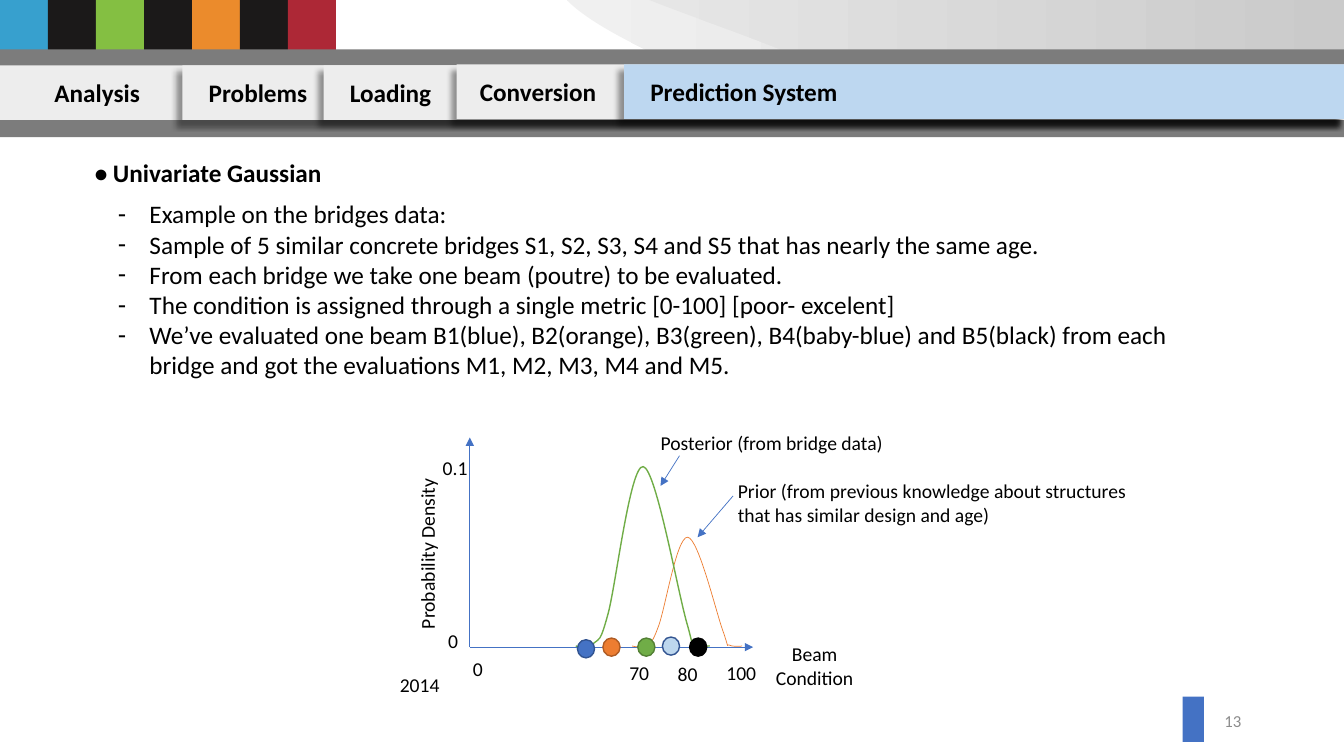
from dataclasses import dataclass

from lxml import etree
from pptx import Presentation
from pptx.dml.color import RGBColor
from pptx.enum.shapes import MSO_CONNECTOR, MSO_SHAPE
from pptx.enum.text import MSO_ANCHOR, MSO_AUTO_SIZE, PP_ALIGN
from pptx.oxml.ns import qn
from pptx.util import Inches, Pt

WIDTH, HEIGHT = 13.33, 7.5
FONT = "Calibri"
BLACK = RGBColor(0x00, 0x00, 0x00)
CHARCOAL = RGBColor(0x1B, 0x19, 0x19)
STRIP_GREY = RGBColor(0x7C, 0x7C, 0x7C)
TAB_GREY = RGBColor(0xED, 0xED, 0xED)
NUMBER_GREY = RGBColor(0x8C, 0x8C, 0x8C)
ACTIVE_BLUE = RGBColor(0xBD, 0xD7, 0xF0)
SKY = RGBColor(0x37, 0xA0, 0xCE)
LIME = RGBColor(0x84, 0xBF, 0x42)
AMBER = RGBColor(0xEB, 0x8B, 0x2C)
CRIMSON = RGBColor(0xAD, 0x28, 0x36)
BLUE = RGBColor(0x44, 0x72, 0xC4)
DARK_BLUE = RGBColor(0x32, 0x54, 0x91)
ORANGE = RGBColor(0xED, 0x7D, 0x31)
DARK_ORANGE = RGBColor(0xAF, 0x5C, 0x24)
GREEN = RGBColor(0x70, 0xAD, 0x47)
DARK_GREEN = RGBColor(0x53, 0x80, 0x35)
BABY_BLUE = RGBColor(0xBD, 0xD7, 0xEE)
SWOOSHES = [(RGBColor(0xF0, 0xF0, 0xF0), RGBColor(0xD8, 0xD8, 0xD8)),
            (RGBColor(0xE6, 0xE6, 0xE6), RGBColor(0xCA, 0xCA, 0xCA))]

BRIDGE_POINTS = [
    "Example on the bridges data:",
    "Sample of 5 similar concrete bridges S1, S2, S3, S4 and S5 that has nearly the same age.",
    "From each bridge we take one beam (poutre) to be evaluated.",
    "The condition is assigned through a single metric [0-100] [poor- excelent]",
    "We’ve evaluated one beam B1(blue), B2(orange), B3(green), B4(baby-blue) and B5(black) "
    "from each bridge and got the evaluations M1, M2, M3, M4 and M5.",
]

# Bezier points in percent of the two axes, measured from the origin
POSTERIOR = [(37.4, 0.5), (39.5, 0), (41.6, -0.5), (43.8, 1.9), (45.6, 4.3), (45.9, 1.4),
             (48.8, 15.9), (51.6, 29.8), (56.6, 87), (61.2, 86.1), (65.8, 85.1), (73.7, 24),
             (76.9, 10.1), (79.7, -3.8), (77.6, 3.4), (79, 1.9), (80.4, 0.5), (84.7, 0.5),
             (84.7, 0.5)]
PRIOR = [(57.3, 0.5), (59.1, 0), (60.9, -0.5), (62.3, 1), (64.1, 2.9), (64.1, 1),
         (66.5, 9.6), (69, 18.3), (73, 52.9), (76.9, 52.4), (80.8, 51.9), (87.2, 14.9),
         (89.7, 6.3), (91.8, -2.4), (90.4, 1.9), (91.5, 1), (92.5, 0), (96.1, 0.5),
         (96.1, 0.5)]
BEAMS = [(80.6, 0, BLACK, BLACK), (71, 0.5, BABY_BLUE, DARK_BLUE), (62.3, 0, GREEN, DARK_GREEN),
         (50, 0, ORANGE, DARK_ORANGE), (41, -0.8, BLUE, DARK_BLUE)]
ARROWS = [((0, 0), (100, 0)), ((0, 0), (0, 100)),
          ((92.9, 72.1), (80.4, 52.4)), ((74, 91.3), (67.3, 76.9))]
# text, centre in percent, width in percent of the horizontal axis
PLOT_LABELS = [
    ("0", 2.8, -10.2, 11), ("70", 59.8, -12.1, 14), ("80", 76.9, -12.5, 14),
    ("100", 95.8, -12.1, 18), ("0", -5.9, 2.9, 11), ("0.1", -5.2, 85.6, 16),
    ("2014", -17.7, -17.9, 21), ("Beam\nCondition", 121.7, -8.9, 35),
    ("Posterior (from bridge data)", 106.6, 97.5, 86),
]


@dataclass
class Box:
    left: float
    top: float
    width: float
    height: float

    def emu(self):
        return [Inches(v) for v in (self.left, self.top, self.width, self.height)]

    def from_origin(self, x, y):
        """Turn percent of the axes into inches on the slide."""
        return self.left + x / 100 * self.width, self.top + (100 - y) / 100 * self.height


def write(frame, text, size, color=BLACK, bold=False, align=PP_ALIGN.LEFT):
    frame.text = text
    frame.auto_size = MSO_AUTO_SIZE.NONE
    for paragraph in frame.paragraphs:
        paragraph.alignment = align
        paragraph.space_before = Pt(0)
        font = paragraph.runs[0].font
        font.name, font.size, font.bold = FONT, Pt(size), bold
        font.color.rgb = color


def add_filled(slide, box, fill, preset=MSO_SHAPE.RECTANGLE, outline=None):
    shape = slide.shapes.add_shape(preset, *box.emu())
    shape.shadow.inherit = False
    shape.fill.solid()
    shape.fill.fore_color.rgb = fill
    if outline is None:
        shape.line.fill.background()
    else:
        shape.line.color.rgb, shape.line.width = outline, Pt(1)
    return shape


def add_label(slide, box, text, size, **style):
    label = slide.shapes.add_textbox(*box.emu())
    label.text_frame.word_wrap = False
    label.text_frame.vertical_anchor = MSO_ANCHOR.MIDDLE
    write(label.text_frame, text, size, **style)
    return label


def cast_shadow(shape):
    effects = shape._element.spPr.find(qn("a:effectLst"))
    shadow = etree.SubElement(effects, qn("a:outerShdw"), blurRad=str(Pt(4)), dist=str(Pt(6)),
                              dir="8100000", algn="tr", rotWithShape="0")
    color = etree.SubElement(shadow, qn("a:srgbClr"), val="000000")
    etree.SubElement(color, qn("a:alpha"), val="40000")


def add_curve(slide, points, corners=()):
    """Draw a chain of cubic Beziers, closed through straight corners if there are any."""
    start, *rest = [(Inches(x), Inches(y)) for x, y in (*points, *corners)]
    builder = slide.shapes.build_freeform(*start, scale=1.0)
    builder.add_line_segments(rest, close=bool(corners))
    curve = builder.convert_to_shape()
    curve.shadow.inherit = False
    lines = list(curve._element.iter(qn("a:lnTo")))[:len(points) - 1]
    for i in range(0, len(lines), 3):
        bezier = etree.Element(qn("a:cubicBezTo"))
        lines[i].addprevious(bezier)
        for line in lines[i:i + 3]:
            bezier.append(line[0])
            line.getparent().remove(line)
    return curve


def add_banner(slide, box):
    colors = [SKY, CHARCOAL, LIME, CHARCOAL, AMBER, CHARCOAL, CRIMSON]
    column = box.width / 28
    for i, color in enumerate(colors):
        add_filled(slide, Box(box.left + i * column, box.top, column, box.height), color)
    edges = [[(6.75, 0.66), (6.17, 0.39), (5.82, 0.2), (5.62, 0)],
             [(8.12, 0.65), (7.59, 0.41), (6.97, 0.21), (6.44, 0)]]
    right = box.left + box.width
    for edge, tones in zip(edges, SWOOSHES):
        swoosh = add_curve(slide, edge, [(right, box.top), (right, box.top + box.height)])
        swoosh.line.fill.background()
        swoosh.fill.gradient()
        swoosh.fill.gradient_angle = 0
        for stop, tone in zip(swoosh.fill.gradient_stops, tones):
            stop.color.rgb = tone


def add_tabs(slide, box):
    strip = 0.17
    for top in (box.top - strip + 0.01, box.top + box.height):
        add_filled(slide, Box(box.left, top, box.width, strip), STRIP_GREY)
    tabs = [("Analysis", 0, 0.54, 0), ("Problems", 1.81, 0.26, 0), ("Loading", 3.21, 0.26, 0),
            ("Conversion", 4.53, 0.23, -0.01), ("Prediction System", 6.19, 0.26, -0.01)]
    for name, left, inset, shift in tabs:
        active = name == "Prediction System"
        area = Box(box.left + left, box.top + shift, box.width - left, box.height)
        tab = add_filled(slide, area, ACTIVE_BLUE if active else TAB_GREY)
        if left:
            cast_shadow(tab)
        tab.text_frame.margin_left = Inches(inset)
        tab.text_frame.vertical_anchor = MSO_ANCHOR.MIDDLE
        write(tab.text_frame, name, 18, bold=True)


def fill_text(slide, box):
    title, body = slide.placeholders
    title.left, title.top, title.width, title.height = Box(box.left - 0.35, box.top, 2.69, 0.4).emu()
    title.text_frame.vertical_anchor = MSO_ANCHOR.MIDDLE
    write(title.text_frame, "• Univariate Gaussian", 18, bold=True, align=PP_ALIGN.CENTER)
    body.left, body.top, body.width, body.height = Box(
        box.left, box.top + 0.41, box.width, box.height - 0.41).emu()
    write(body.text_frame, "\n".join(BRIDGE_POINTS), 18)
    for paragraph in body.text_frame.paragraphs:
        properties = paragraph._p.get_or_add_pPr()
        properties.set("marL", str(Pt(22.5)))
        properties.set("indent", str(-Pt(22.5)))
        etree.SubElement(properties, qn("a:buChar"), char="-")


def add_arrow(slide, start, end):
    ends = [Inches(v) for v in (*start, *end)]
    arrow = slide.shapes.add_connector(MSO_CONNECTOR.STRAIGHT, *ends)
    arrow.line.color.rgb, arrow.line.width = BLUE, Pt(0.5)
    etree.SubElement(arrow.line._get_or_add_ln(), qn("a:tailEnd"), type="triangle")
    etree.SubElement(arrow._element.spPr, qn("a:effectLst"))


def add_density_plot(slide, box):
    def centred(x, y, width, height):
        middle, centre = box.from_origin(x, y)
        return Box(middle - width / 2, centre - height / 2, width, height)

    for start, end in ARROWS:
        add_arrow(slide, box.from_origin(*start), box.from_origin(*end))
    for points, color, weight in ((PRIOR, ORANGE, 0.5), (POSTERIOR, GREEN, 1)):
        curve = add_curve(slide, [box.from_origin(*point) for point in points])
        curve.fill.background()
        curve.line.color.rgb, curve.line.width = color, Pt(weight)
    for x, y, fill, outline in BEAMS:
        add_filled(slide, centred(x, y, 0.17, 0.18), fill, MSO_SHAPE.OVAL, outline)
    for text, x, y, share in PLOT_LABELS:
        add_label(slide, centred(x, y, share / 100 * box.width, 0.34), text, 14,
                  align=PP_ALIGN.CENTER)
    add_label(slide, centred(164.6, 69, 1.47 * box.width, 0.57),
              "Prior (from previous knowledge about structures\nthat has similar design and age)", 14)
    density = add_label(slide, centred(-15.1, 44.5, 0.63 * box.width, 0.34),
                        "Probability Density", 14, align=PP_ALIGN.CENTER)
    density.rotation = 270


def add_page_number(slide, box):
    add_filled(slide, Box(box.left, box.top, 0.21, box.height), BLUE)
    add_label(slide, Box(box.left + 0.21, box.top + 0.04, box.width - 0.21, 0.4), "13", 12,
              color=NUMBER_GREY, align=PP_ALIGN.RIGHT)


def main():
    deck = Presentation()
    deck.slide_width, deck.slide_height = Inches(WIDTH), Inches(HEIGHT)
    slide = deck.slides.add_slide(deck.slide_layouts[1])
    add_banner(slide, Box(0, 0, WIDTH, 0.65))
    add_tabs(slide, Box(0, 0.65, WIDTH, 0.54))
    fill_text(slide, Box(1.07, 1.51, 10.62, 2.33))
    add_density_plot(slide, Box(4.66, 4.34, 2.81, 2.08))
    add_page_number(slide, Box(11.73, 6.91, 0.68, 0.45))
    deck.save("out.pptx")


if __name__ == "__main__":
    main()
